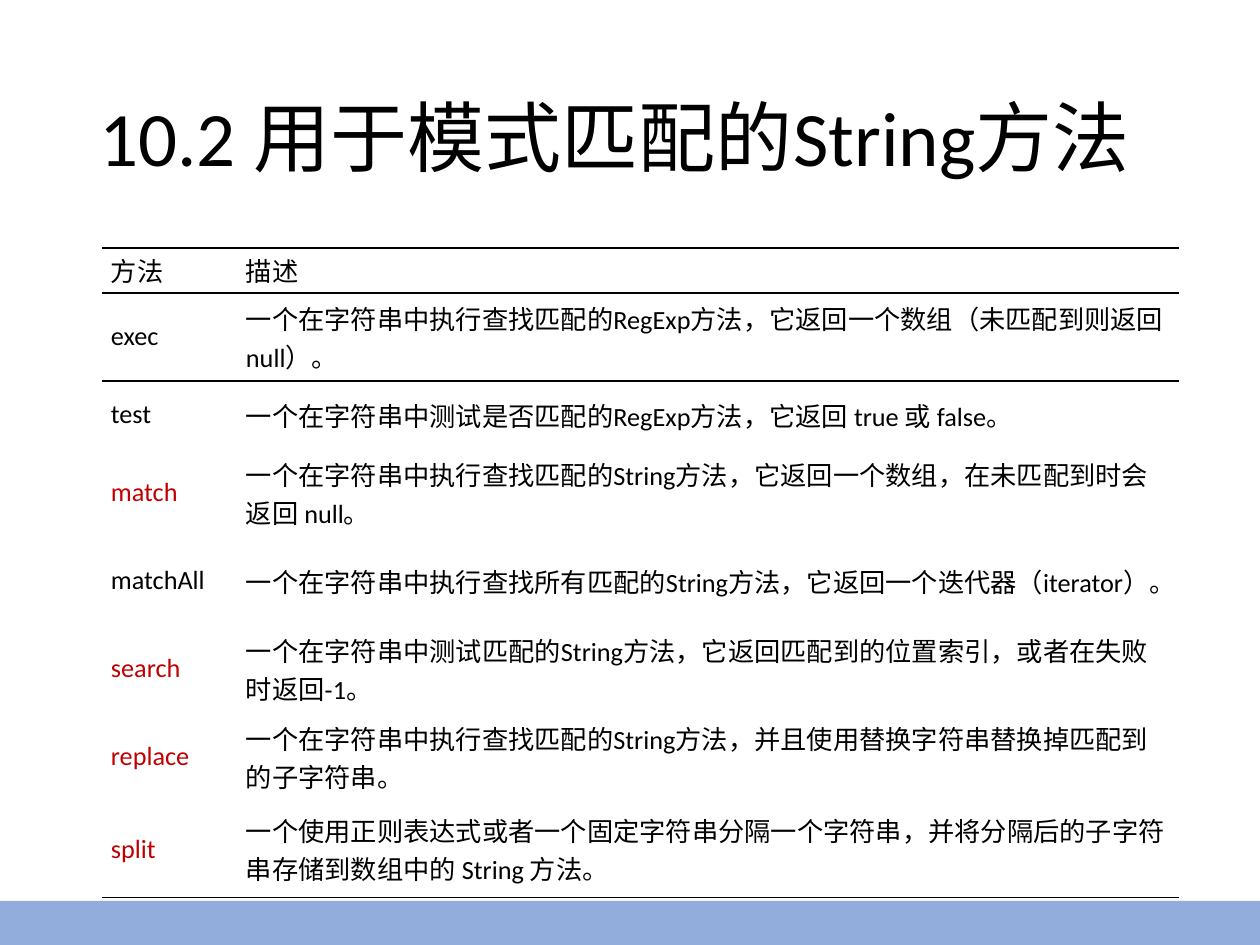
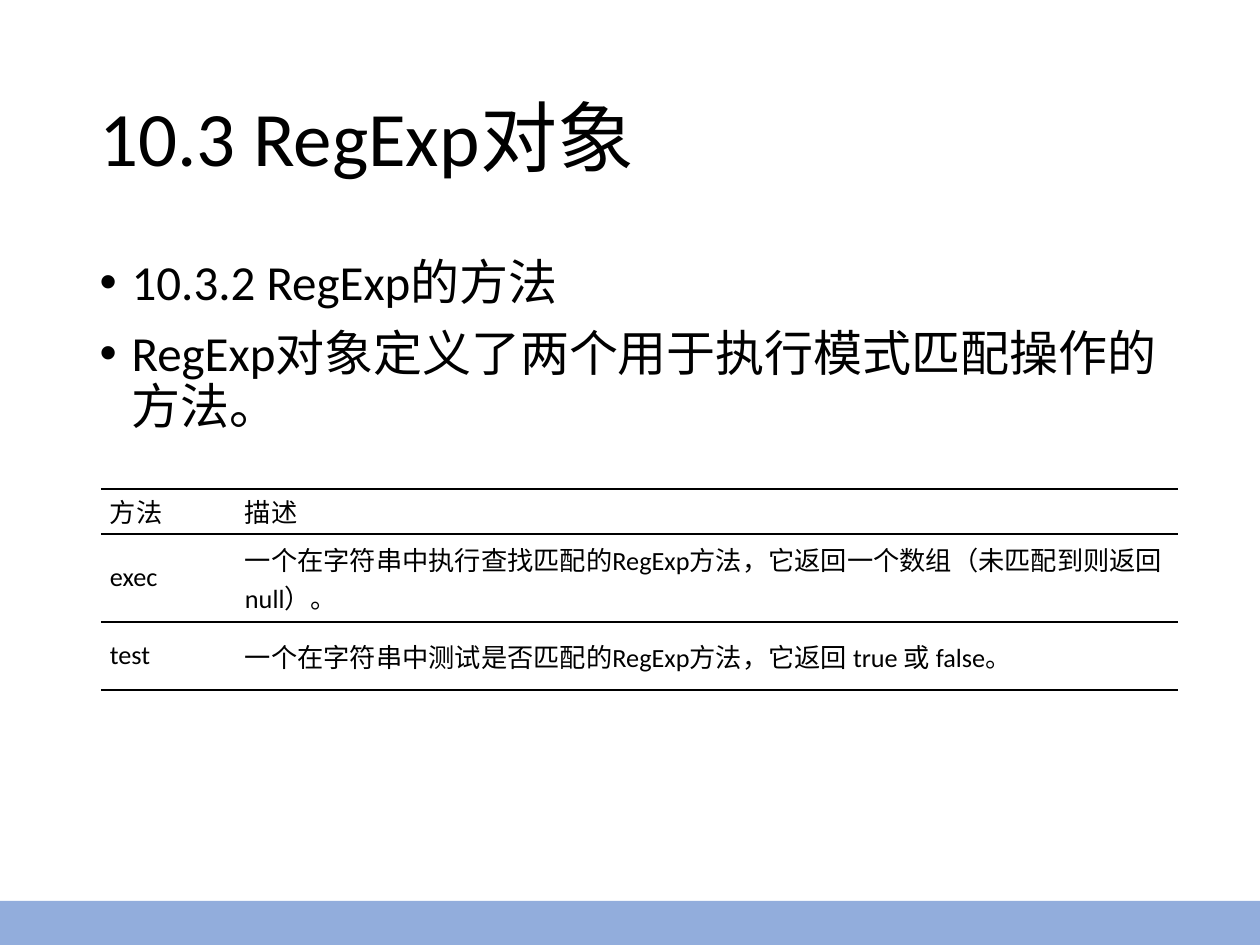
import pptx
import pptx.util
import pptx.dml.color
import pptx.enum.shapes
import pptx.enum.text
import lxml.etree

PX = 914400 / 126
NS = "http://schemas.openxmlformats.org/drawingml/2006/main"
BLACK, RED, BLUE = "000000", "C00000", "4472C4"


def px(n):
    return pptx.util.Emu(round(n * PX))


def style(obj, fmt):
    for name, value in fmt.items():
        if name == "color":
            obj.color.rgb = pptx.dml.color.RGBColor.from_string(value)
        else:
            setattr(obj, name, value)


anchor = pptx.enum.text.MSO_ANCHOR
left = pptx.enum.text.PP_ALIGN.LEFT
no_fit = pptx.enum.text.MSO_AUTO_SIZE.NONE
title_box = dict(left=px(87), top=px(50), width=px(1086), height=px(183))
body_box = dict(left=px(87), top=px(252), width=px(1086), height=px(600))
title_font = dict(name="Calibri", size=pptx.util.Pt(44), color=BLACK)
body_font = dict(name="Calibri", size=pptx.util.Pt(28), color=BLACK)
cell_font = dict(name="Calibri", size=pptx.util.Pt(15))
head_margins = dict(margin_left=px(9), margin_right=px(9), margin_top=px(3), margin_bottom=px(4))
cell_margins = dict(margin_left=px(9), margin_right=px(9), margin_top=px(6), margin_bottom=px(6))
tight = dict(line_spacing=0.9, space_before=pptx.util.Pt(0), alignment=left)

head_rows = [
    ("方法", "描述", BLACK, 34),
    ("exec", "一个在字符串中执行查找匹配的RegExp方法，它返回一个数组（未匹配到则返回 null）。", BLACK, 68),
    ("test", "一个在字符串中测试是否匹配的RegExp方法，它返回 true 或 false。", BLACK, 68),
]
string_rows = [
    ("match", "一个在字符串中执行查找匹配的String方法，它返回一个数组，在未匹配到时会返回 null。", RED, 68),
    ("matchAll", "一个在字符串中执行查找所有匹配的String方法，它返回一个迭代器（iterator）。", BLACK, 68),
    ("search", "一个在字符串中测试匹配的String方法，它返回匹配到的位置索引，或者在失败时返回-1。", RED, 68),
    ("replace", "一个在字符串中执行查找匹配的String方法，并且使用替换字符串替换掉匹配到的子字符串。", RED, 68),
    ("split", "一个使用正则表达式或者一个固定字符串分隔一个字符串，并将分隔后的子字符串存储到数组中的 String 方法。", RED, 97),
]
slides = [
    ("10.2 用于模式匹配的String方法", [], head_rows + string_rows, 102, 248),
    ("10.3 RegExp对象",
     ["10.3.2 RegExp的方法", "RegExp对象定义了两个用于执行模式匹配操作的方法。"],
     head_rows, 101, 489),
]

prs = pptx.Presentation()
prs.slide_width, prs.slide_height = px(1260), px(945)

for title, bullets, rows, x, y in slides:
    s = prs.slides.add_slide(prs.slide_layouts[1 if bullets else 5])

    sp = s.shapes.title
    style(sp, title_box)
    tf = sp.text_frame
    style(tf, dict(text=title, vertical_anchor=anchor.MIDDLE, auto_size=no_fit, word_wrap=True))
    style(tf.paragraphs[0], tight)
    style(tf.paragraphs[0].runs[0].font, title_font)

    if bullets:
        sp = s.placeholders[1]
        style(sp, body_box)
        tf = sp.text_frame
        style(tf, dict(text="\n".join(bullets), auto_size=no_fit, word_wrap=True))
        for i, p in enumerate(tf.paragraphs):
            pPr = p._p.get_or_add_pPr()
            pPr.set("marL", str(px(32)))
            pPr.set("indent", str(-px(32)))
            lxml.etree.SubElement(pPr, f"{{{NS}}}buChar", char="•")
            style(p, tight)
            if i:
                p.space_before = pptx.util.Pt(10)
            style(p.runs[0].font, body_font)

    height = sum(row[3] for row in rows)
    tbl = s.shapes.add_table(len(rows), 2, px(x), px(y), px(1077), px(height)).table
    style(tbl, dict(first_row=False, horz_banding=False))
    tbl.columns[0].width, tbl.columns[1].width = px(135), px(942)
    for i, (method, text, color, h) in enumerate(rows):
        tbl.rows[i].height = px(h)
        ruled = {"T": i <= 2, "B": i < 2 or i == len(rows) - 1}
        for j, (value, c) in enumerate([(method, color), (text, BLACK)]):
            cell = tbl.cell(i, j)
            style(cell, dict(text=value, vertical_anchor=anchor.MIDDLE))
            style(cell, cell_margins if i else head_margins)
            style(cell.text_frame.paragraphs[0].runs[0].font, dict(cell_font, color=c))
            tcPr = cell._tc.get_or_add_tcPr()
            for side in "LRTB":
                ln = lxml.etree.SubElement(tcPr, f"{{{NS}}}ln{side}", w="12700")
                if ruled.get(side):
                    fill = lxml.etree.SubElement(ln, f"{{{NS}}}solidFill")
                    lxml.etree.SubElement(fill, f"{{{NS}}}srgbClr", val=BLACK)
                else:
                    lxml.etree.SubElement(ln, f"{{{NS}}}noFill")
            cell.fill.background()

    band = s.shapes.add_shape(pptx.enum.shapes.MSO_SHAPE.RECTANGLE, px(-16), px(901), px(1313), px(60))
    band.shadow.inherit = False
    band.line.fill.background()
    band.fill.solid()
    band.fill.fore_color.rgb = pptx.dml.color.RGBColor.from_string(BLUE)
    clr = band._element.spPr.find(f".//{{{NS}}}srgbClr")
    lxml.etree.SubElement(clr, f"{{{NS}}}alpha", val="58000")

prs.save("out.pptx")
